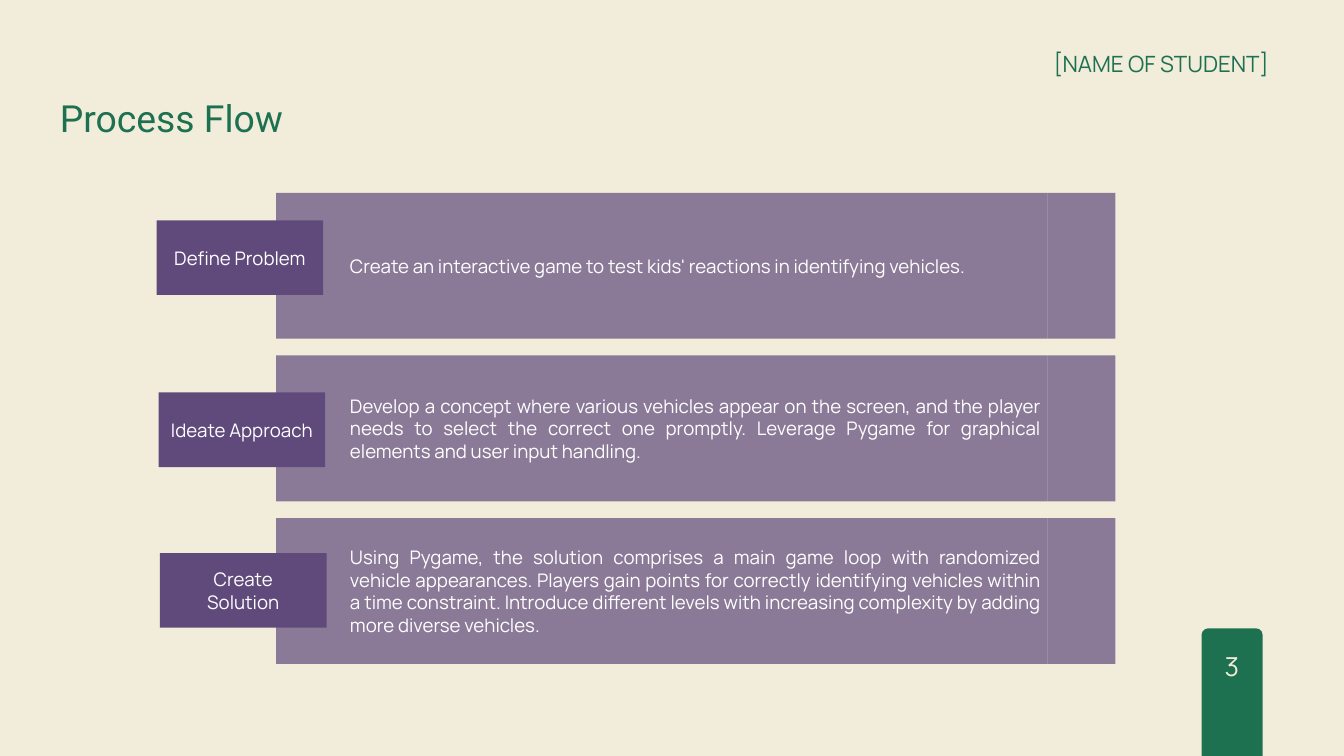
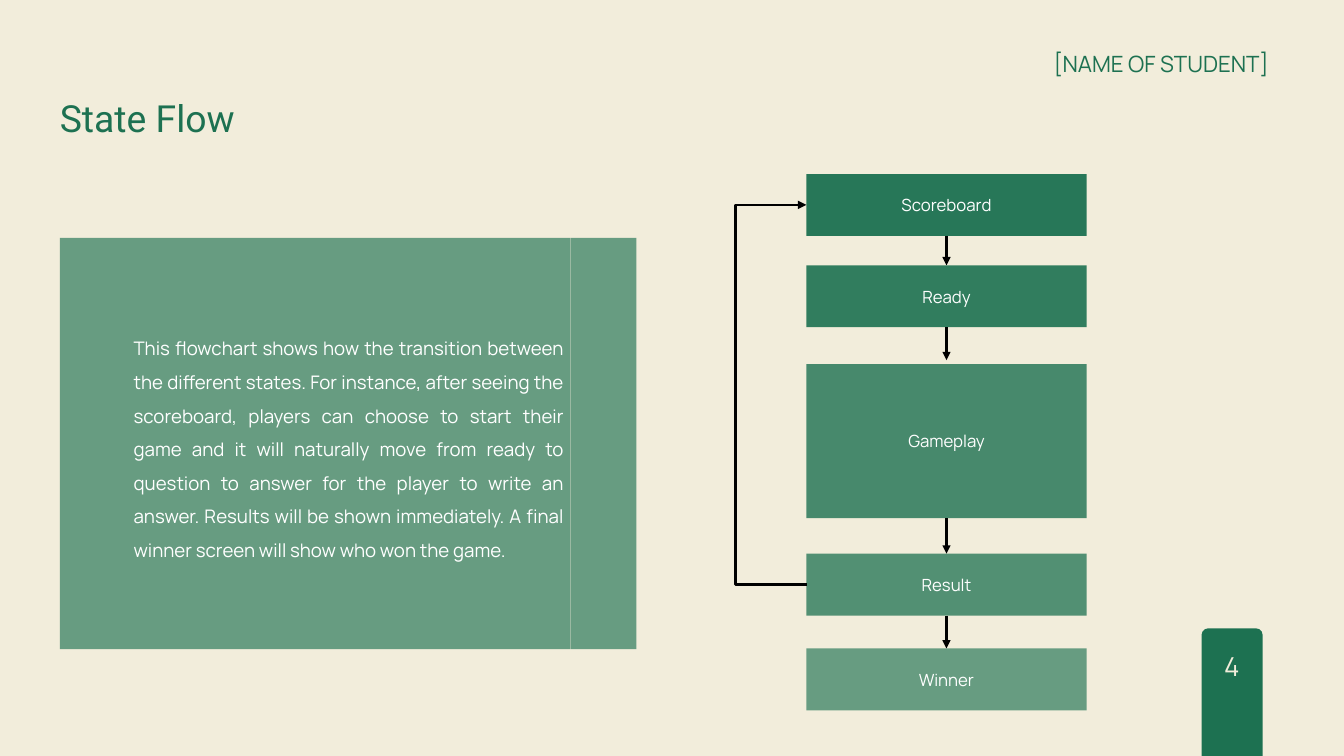
from lxml.etree import SubElement
from pptx import Presentation
from pptx.dml.color import RGBColor
from pptx.enum.shapes import MSO_CONNECTOR, MSO_SHAPE
from pptx.enum.text import MSO_ANCHOR, MSO_AUTO_SIZE, PP_ALIGN
from pptx.oxml.ns import qn
from pptx.util import Inches, Pt

COLORS = {"paper": "F2EDDB", "green": "1D7151", "purple": "604A7B",
          "white": "FFFFFF", "line": "000000"}
BODY_FONT, TITLE_FONT = "Manrope", "Roboto"
WIDTH, HEIGHT = 20, 11.25
LEFT = 0.89

STUDENT = "[NAME OF STUDENT]"

# label lines, label left, label top, description
PROCESS = [
    (["Define Problem"], 2.33, 3.28,
     "Create an interactive game to test kids' reactions in identifying vehicles."),
    (["Ideate Approach"], 2.36, 5.84,
     "Develop a concept where various vehicles appear on the screen, and the player "
     "needs to select the correct one promptly. Leverage Pygame for graphical "
     "elements and user input handling."),
    (["Create", "Solution"], 2.38, 8.23,
     "Using Pygame, the solution comprises a main game loop with randomized vehicle "
     "appearances. Players gain points for correctly identifying vehicles within a "
     "time constraint. Introduce different levels with increasing complexity by "
     "adding more diverse vehicles."),
]
ROW_LEFT, ROW_TOP, ROW_PITCH = 4.11, 2.87, 2.42

# state, top, height, opacity in percent, length of the arrow below it
STATES = [
    ("Scoreboard", 2.59, 0.92, 95, 0.44),
    ("Ready", 3.95, 0.92, 90, 0.49),
    ("Gameplay", 5.42, 2.29, 80, 0.53),
    ("Result", 8.24, 0.92, 75, 0.49),
    ("Winner", 9.65, 0.92, 65, 0),
]
STATE_LEFT, STATE_WIDTH = 12, 4.17
LOOP_LEFT = 10.93
STATE_NOTE = (
    "This flowchart shows how the transition between the different states. For "
    "instance, after seeing the scoreboard, players can choose to start their game "
    "and it will naturally move from ready to question to answer for the player to "
    "write an answer. Results will be shown immediately. A final winner screen will "
    "show who won the game.")


def rgb(name):
    return RGBColor.from_string(COLORS[name])


def box(*lengths):
    return [Inches(n) for n in lengths]


def write(tf, lines, size, color="white", font=BODY_FONT,
          align=PP_ALIGN.CENTER, spacing=None):
    for i, line in enumerate(lines):
        p = tf.paragraphs[0] if i == 0 else tf.add_paragraph()
        p.alignment = align
        p.line_spacing = spacing
        r = p.add_run()
        r.text = line
        r.font.name, r.font.size = font, Pt(size)
        r.font.color.rgb = rgb(color)


def plain_frame(tf):
    """Remove insets and fitting so that text starts at the frame's corner."""
    tf.margin_left = tf.margin_right = tf.margin_top = tf.margin_bottom = 0
    tf.word_wrap = True
    tf.auto_size = MSO_AUTO_SIZE.NONE
    tf.vertical_anchor = MSO_ANCHOR.TOP


def add_text(s, at, text, size, color, align, spacing):
    tf = s.shapes.add_textbox(*box(*at)).text_frame
    plain_frame(tf)
    write(tf, [text], size, color, align=align, spacing=Pt(spacing))


def add_block(s, at, color, opacity=100, kind=MSO_SHAPE.RECTANGLE):
    sp = s.shapes.add_shape(kind, *box(*at))
    sp.shadow.inherit = False
    sp.line.fill.background()
    sp.fill.solid()
    sp.fill.fore_color.rgb = rgb(color)
    if opacity < 100:
        clr = sp.fill._xPr.find(".//" + qn("a:srgbClr"))
        SubElement(clr, qn("a:alpha")).set("val", str(opacity * 1000))
    return sp


def add_panel(s, at, end_width, color, opacity, text, spacing=None):
    """Draw a translucent panel with indented text and a plain end piece."""
    x, y, w, h = at
    tf = add_block(s, at, color, opacity).text_frame
    tf.vertical_anchor = MSO_ANCHOR.MIDDLE
    write(tf, [text], 20, align=PP_ALIGN.JUSTIFY, spacing=spacing)
    pPr = tf.paragraphs[0]._p.get_or_add_pPr()
    pPr.set("marL", str(Inches(1)))
    pPr.set("indent", "0")
    add_block(s, (x + w, y, end_width, h), color, opacity)


def add_arrow(s, start, end, kind=MSO_CONNECTOR.STRAIGHT):
    c = s.shapes.add_connector(kind, *box(*start, *end))
    c.line.color.rgb = rgb("line")
    c.line.width = Pt(3)
    SubElement(c.line._get_or_add_ln(), qn("a:tailEnd")).set("type", "triangle")
    SubElement(c._element.spPr, qn("a:effectLst"))
    return c


def add_slide(prs, title, number):
    s = prs.slides.add_slide(prs.slide_layouts[5])
    head = s.shapes.title
    head.left, head.top, head.width, head.height = box(LEFT, 1.31, 7.6, 0.76)
    plain_frame(head.text_frame)
    write(head.text_frame, [title], 40, "green", TITLE_FONT, PP_ALIGN.LEFT, Pt(56))
    tab = add_block(s, (17.88, 9.35, 0.91, 2), "green",
                    kind=MSO_SHAPE.ROUNDED_RECTANGLE)
    tab.adjustments[0] = 0.11
    add_text(s, (18.13, 9.6, 0.4, 0.53), number, 28, "paper", PP_ALIGN.CENTER, 39.2)
    add_text(s, (14.99, 0.68, 3.89, 0.45), STUDENT, 24, "green", PP_ALIGN.RIGHT, 33.6)
    return s


def build_process(prs):
    s = add_slide(prs, "Process Flow", "3")
    for i, (_, _, _, text) in enumerate(PROCESS):
        at = (ROW_LEFT, ROW_TOP + i * ROW_PITCH, 11.48, 2.17)
        add_panel(s, at, 1.01, "purple", 70, text)
    for label, x, y, _ in PROCESS:
        sp = add_block(s, (x, y, 2.48, 1.11), "purple")
        write(sp.text_frame, label, 20)


def build_states(prs):
    s = add_slide(prs, "State Flow", "4")
    middle = {}
    center = STATE_LEFT + STATE_WIDTH / 2
    for name, top, height, opacity, arrow in STATES:
        sp = add_block(s, (STATE_LEFT, top, STATE_WIDTH, height), "green", opacity)
        write(sp.text_frame, [name], 18)
        middle[name] = top + height / 2
        if arrow:
            bottom = top + height
            add_arrow(s, (center, bottom), (center, bottom + arrow))

    start = STATE_LEFT + 0.01
    loop = add_arrow(s, (start, middle["Result"]), (STATE_LEFT, middle["Scoreboard"]),
                     MSO_CONNECTOR.ELBOW)
    bend = (start - LOOP_LEFT) / (start - STATE_LEFT)
    guides = loop._element.spPr.find(qn("a:prstGeom")).get_or_add_avLst()
    guide = SubElement(guides, qn("a:gd"))
    guide.set("name", "adj1")
    guide.set("fmla", f"val {round(bend * 100000)}")

    add_panel(s, (LEFT, 3.54, 7.6, 6.12), 0.98, "green", 65, STATE_NOTE, 1.5)


def main():
    prs = Presentation()
    prs.slide_width, prs.slide_height = box(WIDTH, HEIGHT)
    fill = prs.slide_master.background.fill
    fill.solid()
    fill.fore_color.rgb = rgb("paper")
    build_process(prs)
    build_states(prs)
    prs.save("out.pptx")


if __name__ == "__main__":
    main()
